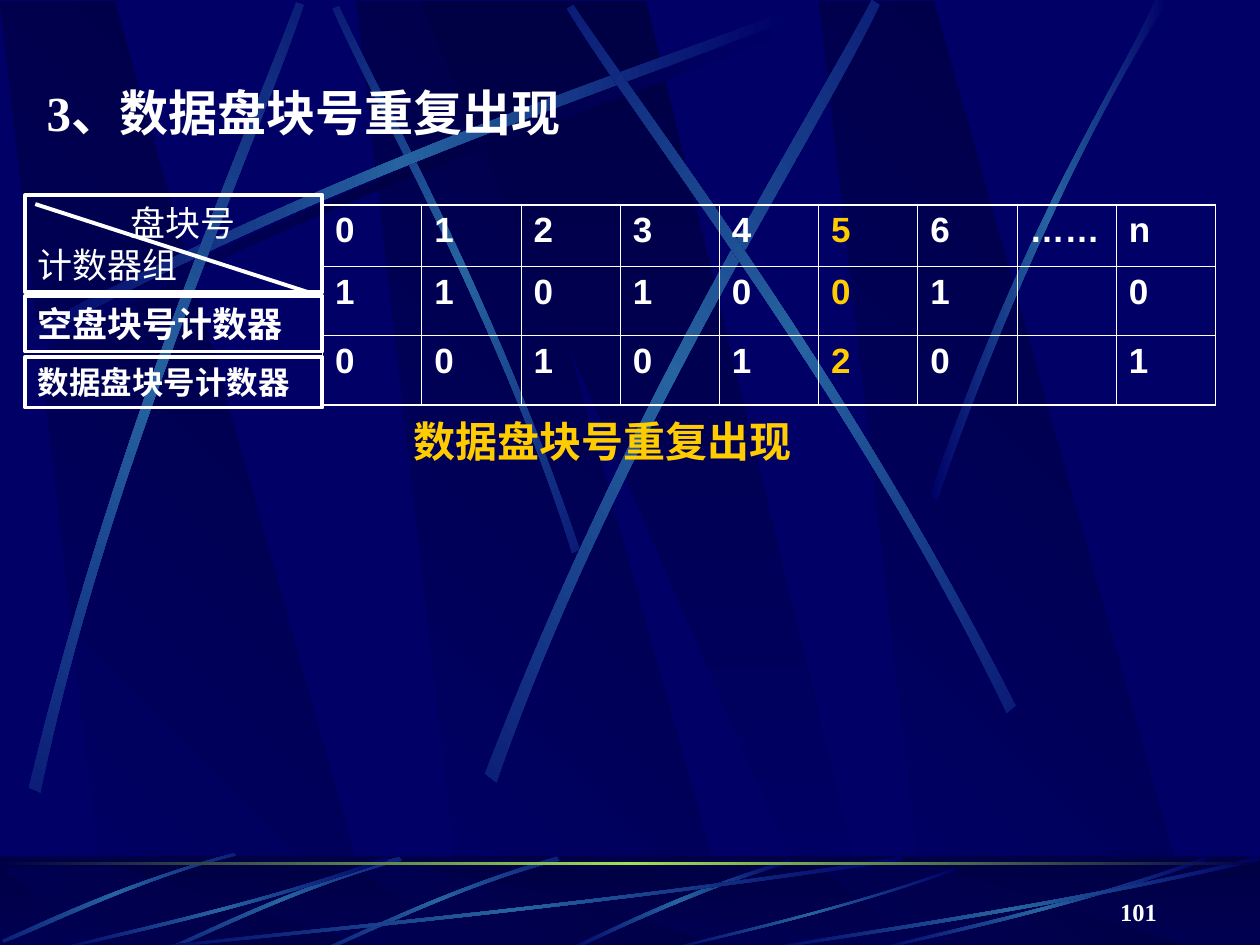
"""Build the slide on repeated data block numbers, laid out on a grid of 100 columns by 75 rows."""
import math
from dataclasses import dataclass

from lxml import etree
from pptx import Presentation, util as u
from pptx.dml.color import RGBColor
from pptx.enum import shapes, text
from pptx.oxml import ns

WIDTH, HEIGHT = u.Inches(10), u.Inches(7.5)
COLUMN, ROW = WIDTH / 100, HEIGHT / 75
NAVY, DARK, BLUE, LIME = "000066", "000044", "2663A0", "9CE157"
WHITE, GOLD = "FFFFFF", "FFCC00"
SERIF, SANS = "Times New Roman", "Arial"
GLOW, SHADE = (NAVY, BLUE, NAVY), (NAVY, DARK, NAVY)


@dataclass
class Streak:
    """A band between two Bezier curves, given as eight x, y pairs, in a turned frame."""
    numbers: tuple
    turn: float = 0
    colours: tuple = GLOW


@dataclass
class Label:
    """Lines of text in a box."""
    area: tuple
    lines: tuple
    size: int
    bold: bool = True
    colour: str = WHITE
    anchor: text.MSO_ANCHOR = text.MSO_ANCHOR.MIDDLE
    align: text.PP_ALIGN = text.PP_ALIGN.LEFT
    first_indent: float = 0
    wrap: bool = True


TOP_STREAKS = (
    Streak((2, 27.5, 28.4, 13.4, 52.4, 5.9, 62.6, 1.8, 62.9, 2.4, 52.8, 6.9, 25.4, 15.1, 2.3, 28.5), 0, SHADE),
    Streak((46, 43.6, 39.1, 23.4, 30.2, 7.7, 26.9, .5, 26.4, .7, 29.5, 7.9, 39.8, 25.8, 45.4, 43.9), 45),
    Streak((1.4, 26.7, 27.8, 12.5, 51.8, 5.1, 62, 1, 62.3, 1.6, 52.2, 6.1, 24.8, 14.3, 1.7, 27.7)),
    Streak((2.3, 62.5, 9.3, 33.4, 19.7, 10.5, 23.5, .2, 24.1, .4, 20.7, 10.8, 8.6, 36.8, 3.2, 62.9), 311.7),
    Streak((38.5, 61.4, 49.8, 32, 63.8, 10.2, 69.2, 0, 69.8, .4, 64.9, 10.8, 48.6, 35.5, 39.4, 62.1), 321.6),
    Streak((80.6, 56, 67, 29.3, 51.6, 9.5, 45.5, .4, 45, .7, 50.7, 10.1, 68.5, 32.5, 79.9, 56.6), 34.8),
    Streak((73.8, 39.3, 81.4, 17.3, 88.8, 6.6, 91.7, 0, 92.7, 0, 83.6, 14.5, 76.9, 32.2, 74.4, 39.7)),
)
LOW_STREAKS = (
    Streak((62.7, 68.2, 53.7, 70.9, 47.7, 74.2, 44.8, 75.4, 45.3, 75.5, 49, 73.7, 57.1, 70, 62.8, 68.5)),
    Streak((44.2, 68, 35.5, 70.5, 28.7, 74, 25.6, 75.3, 25.7, 75.5, 28.8, 74.3, 36.5, 70.3, 44.4, 68.3), 314.9),
    Streak((31.7, 68, 23, 70.5, 16.2, 74, 13.1, 75.3, 13.2, 75.5, 16.3, 74.3, 24, 70.3, 31.9, 68.3), 314.9),
    Streak((18.6, 67.7, 9.9, 70, 3.2, 73.3, .2, 74.6, .3, 74.8, 3.4, 73.7, 10.9, 69.8, 18.7, 67.9), 314.9),
    Streak((71.7, 68.3, 44.9, 72.3, 20.6, 74.4, 10.3, 75.5, 10, 75.4, 20.2, 74.1, 48, 71.8, 71.4, 68)),
    Streak((30.8, 68.3, 19.3, 72.3, 8.8, 74.4, 4.3, 75.5, 4.2, 75.4, 8.6, 74.1, 20.6, 71.8, 30.7, 68)),
    Streak((75.8, 69.1, 65.8, 72.6, 56.7, 74.5, 52.8, 75.5, 52.7, 75.4, 56.5, 74.3, 66.9, 72.2, 75.7, 68.9)),
    Streak((95.8, 68.3, 84.3, 72.3, 73.8, 74.4, 69.3, 75.5, 69.2, 75.4, 73.6, 74.1, 85.6, 71.8, 95.7, 68)),
    Streak((100, 68.3, 82.7, 72.3, 66.9, 74.4, 60.2, 75.5, 60, 75.4, 66.6, 74.1, 84.6, 71.8, 99.8, 68)),
)
BOXES = (
    Label((2, 15.5, 23.6, 7.7), ("盘块号", "计数器组"), 20, False, anchor=text.MSO_ANCHOR.TOP, first_indent=7.4),
    Label((2, 23.5, 23.6, 4.4), ("空盘块号计数器",), 20),
    Label((2, 28.35, 23.6, 4), ("数据盘块号计数器",), 18),
)
CAPTION = Label((31.85, 32.5, 32, 5), ("数据盘块号重复出现",), 24, colour=GOLD, anchor=text.MSO_ANCHOR.TOP, wrap=False)
TITLE = Label((2.7, 6.05, 94.5, 5.7), ("3、数据盘块号重复出现",), 28, anchor=text.MSO_ANCHOR.TOP)
PAGE = Label((72, 69, 20.8, 5), ("101",), 14, anchor=text.MSO_ANCHOR.BOTTOM, align=text.PP_ALIGN.RIGHT)
COUNTS = (("0", "1", "2", "3", "4", "5", "6", "……", "n"),
          ("1", "1", "0", "1", "0", "0", "1", "", "0"),
          ("0", "0", "1", "0", "1", "2", "0", "", "1"))
TABLE_AREA, ROW_HEIGHTS, REPEATED = (25.6, 16.26, 70.9, 15.9), (4.88, 5.5, 5.5), 5


def rgb(colour: str) -> RGBColor:
    """Turn a hex string into a colour."""
    return RGBColor.from_string(colour)


def grid(*values: float) -> list:
    """Turn alternating columns and rows into lengths."""
    return [u.Emu(round(value * (ROW if index % 2 else COLUMN))) for index, value in enumerate(values)]


def apply(target, values: dict) -> None:
    """Set attributes from a dict of format values."""
    for name, value in values.items():
        setattr(target, name, value)


def add_colour(parent, colour: str):
    """Append a hex colour element."""
    return etree.SubElement(parent, ns.qn("a:srgbClr"), val=colour)


def paint(shape, colours: tuple, angle: int = 0, alpha: int = 100) -> None:
    """Fill with one colour or an even gradient, without outline or shadow."""
    properties = shape._element.spPr
    if len(colours) == 1:
        fill = etree.Element(ns.qn("a:solidFill"))
        etree.SubElement(add_colour(fill, colours[0]), ns.qn("a:alpha"), val=str(alpha * 1000))
    else:
        fill = etree.Element(ns.qn("a:gradFill"), rotWithShape="1")
        stops = etree.SubElement(fill, ns.qn("a:gsLst"))
        for index, colour in enumerate(colours):
            position = str(index * 100000 // (len(colours) - 1))
            add_colour(etree.SubElement(stops, ns.qn("a:gs"), pos=position), colour)
        etree.SubElement(fill, ns.qn("a:lin"), ang=str(angle * 60000), scaled="0")
    properties.insert(2, fill)
    shape.line.fill.background()
    shape.shadow.inherit = False


def add_outline(slide, points: list, colours: tuple, angle: int = 0):
    """Draw a closed outline through grid points."""
    places = [tuple(grid(*point)) for point in points]
    builder = slide.shapes.build_freeform(*places[0], scale=1.0)
    builder.add_line_segments(places[1:], close=True)
    shape = builder.convert_to_shape()
    paint(shape, colours, angle)
    return shape


def rotate(point: tuple, degrees: float) -> tuple:
    """Turn a point clockwise about the grid's origin."""
    cosine, sine = math.cos(math.radians(degrees)), math.sin(math.radians(degrees))
    return point[0] * cosine - point[1] * sine, point[0] * sine + point[1] * cosine


def bend(shape) -> None:
    """Turn both long edges of an eight-point outline into Bezier curves."""
    lines = list(shape._element.iter(ns.qn("a:lnTo")))
    for edge in (lines[:3], lines[4:7]):
        curve = etree.Element(ns.qn("a:cubicBezTo"))
        edge[0].addprevious(curve)
        for line in edge:
            curve.append(line[0])
            line.getparent().remove(line)


def add_streak(slide, streak: Streak) -> None:
    """Draw a tapering light streak in its turned frame."""
    pairs = zip(streak.numbers[::2], streak.numbers[1::2])
    points = [rotate(pair, -streak.turn) for pair in pairs]
    shape = add_outline(slide, points, streak.colours)
    bend(shape)
    middle = [(min(axis) + max(axis)) / 2 for axis in zip(*points)]
    x, y = grid(*rotate(middle, streak.turn))
    apply(shape, {"rotation": streak.turn, "left": x - shape.width // 2, "top": y - shape.height // 2})


def add_panels(slide, top: float, foot: float) -> None:
    """Draw the slanted panels between two rows."""
    for left in (28.3, 0, 65):
        points = [(left + 8.6, foot), (left + 30.2, foot), (left + 9.1, top), (left, top)]
        add_outline(slide, points, (NAVY, DARK), 315)
    add_outline(slide, [(33.3, top), (65.8, foot), (69.4, foot), (51.3, top)], (DARK, NAVY), 90)


def add_band(slide, top: float, height: float, colours: tuple, angle: int = 0, alpha: int = 100) -> None:
    """Draw a band across the slide."""
    band = slide.shapes.add_shape(shapes.MSO_SHAPE.RECTANGLE, *grid(0, top, 100, height))
    paint(band, colours, angle, alpha)


def write(shape, label: Label) -> None:
    """Place a shape and write its lines."""
    apply(shape, dict(zip(("left", "top", "width", "height"), grid(*label.area))))
    frame = shape.text_frame
    frame.text = "\n".join(label.lines)
    apply(frame, {"word_wrap": label.wrap, "vertical_anchor": label.anchor, "auto_size": text.MSO_AUTO_SIZE.NONE})
    for paragraph in frame.paragraphs:
        apply(paragraph, {"alignment": label.align, "space_before": u.Pt(0)})
        apply(paragraph.font, {"size": u.Pt(label.size), "bold": label.bold, "name": SERIF})
        paragraph.font.color.rgb = rgb(label.colour)
    if label.first_indent:
        frame.paragraphs[0]._p.get_or_add_pPr().set("marL", str(grid(label.first_indent)[0]))


def add_box(slide, label: Label) -> None:
    """Draw an outlined heading box."""
    box = slide.shapes.add_shape(shapes.MSO_SHAPE.RECTANGLE, *grid(*label.area))
    box.shadow.inherit = False
    box.fill.background()
    box.line.color.rgb, box.line.width = rgb(WHITE), u.Pt(2.25)
    write(box, label)


def add_counts(slide) -> None:
    """Draw the table of counters."""
    row_count, column_count = len(COUNTS), len(COUNTS[0])
    table = slide.shapes.add_table(row_count, column_count, *grid(*TABLE_AREA)).table
    apply(table, {"first_row": False, "horz_banding": False})
    for column in table.columns:
        column.width = round(TABLE_AREA[2] * COLUMN / column_count)
    for r, values in enumerate(COUNTS):
        table.rows[r].height = round(ROW_HEIGHTS[r] * ROW)
        for c, value in enumerate(values):
            cell = table.cell(r, c)
            cell.text = value
            cell.fill.background()
            font = cell.text_frame.paragraphs[0].font
            apply(font, {"size": u.Pt(20), "bold": True, "name": SANS})
            font.color.rgb = rgb(GOLD if c == REPEATED else WHITE)
            outer = {"L": c == 0, "R": c == column_count - 1, "T": r == 0, "B": r == row_count - 1}
            for index, (side, thick) in enumerate(outer.items()):
                border = etree.Element(ns.qn(f"a:ln{side}"), w=str(u.Pt(1.08 if thick else 0.45)))
                add_colour(etree.SubElement(border, ns.qn("a:solidFill")), WHITE)
                cell._tc.get_or_add_tcPr().insert(index, border)


def add_diagonal(slide) -> None:
    """Draw the line splitting the corner heading."""
    line = slide.shapes.add_connector(shapes.MSO_CONNECTOR.STRAIGHT, *grid(2.8, 16.2, 24.8, 23.3))
    line.line.color.rgb, line.line.width = rgb(WHITE), u.Pt(2.25)
    etree.SubElement(line._element.spPr, ns.qn("a:effectLst"))


def main() -> None:
    """Build and save the presentation."""
    presentation = Presentation()
    apply(presentation, {"slide_width": WIDTH, "slide_height": HEIGHT})
    slide = presentation.slides.add_slide(presentation.slide_layouts[5])
    slide.background.fill.solid()
    slide.background.fill.fore_color.rgb = rgb(NAVY)
    add_panels(slide, 0.1, 75.2)
    for streak in TOP_STREAKS:
        add_streak(slide, streak)
    add_band(slide, 68, 7.5, (DARK, NAVY), 90)
    add_panels(slide, 68.8, 75.4)
    add_band(slide, 67.9, 7.5, (DARK,), alpha=50)
    for streak in LOW_STREAKS:
        add_streak(slide, streak)
    add_band(slide, 68.4, 0.24, (DARK, LIME, DARK))
    add_counts(slide)
    for label in BOXES:
        add_box(slide, label)
    add_diagonal(slide)
    for label in (CAPTION, PAGE):
        write(slide.shapes.add_textbox(*grid(*label.area)), label)
    title = slide.shapes.title
    write(title, TITLE)
    slide.shapes._spTree.append(title._element)
    presentation.save("out.pptx")


if __name__ == "__main__":
    main()
